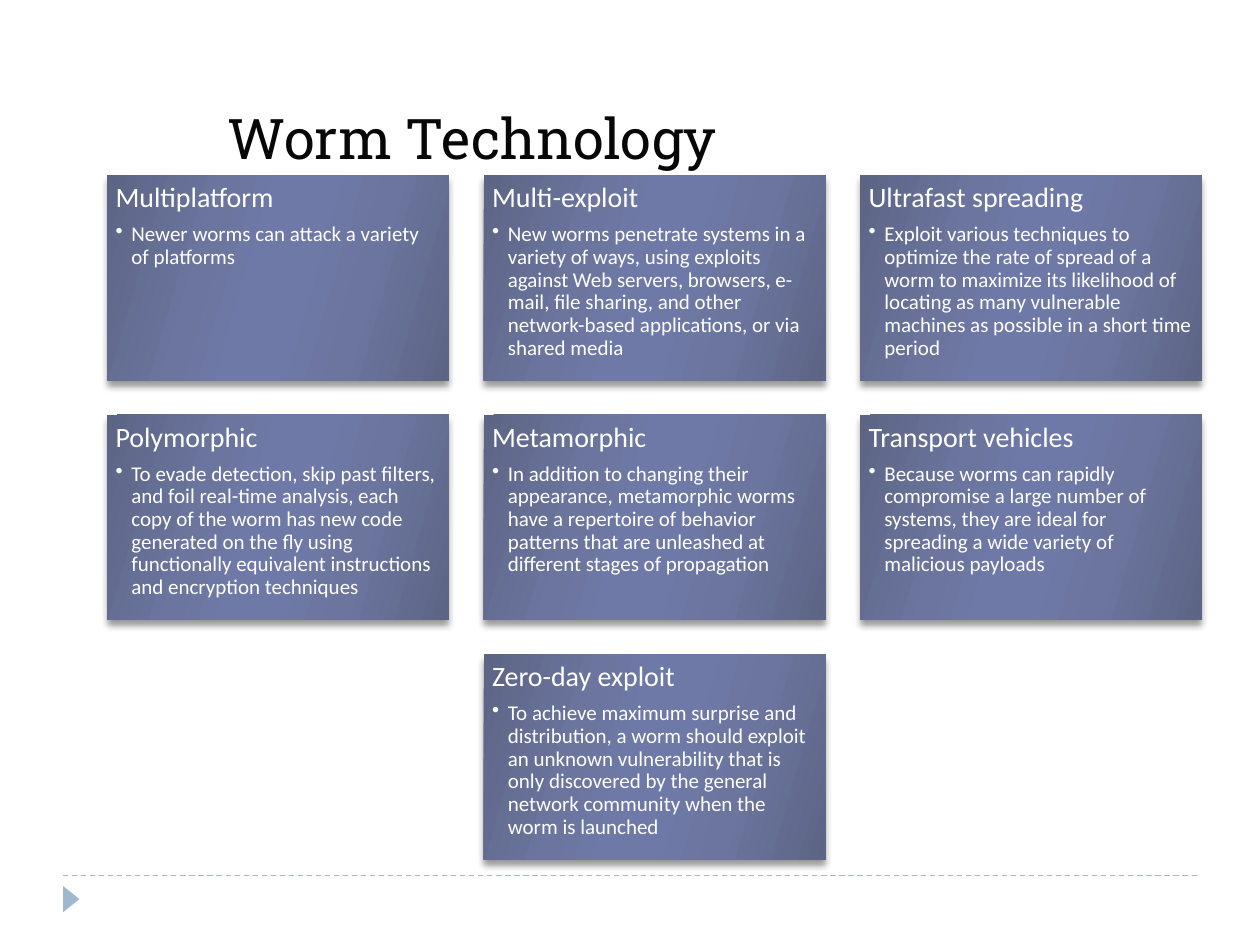
from lxml import etree
from pptx import Presentation
from pptx.dml.color import RGBColor
from pptx.enum.dml import MSO_LINE
from pptx.enum.shapes import MSO_CONNECTOR, MSO_SHAPE
from pptx.enum.text import MSO_ANCHOR, MSO_AUTO_SIZE, PP_ALIGN
from pptx.oxml import parse_xml
from pptx.oxml.ns import nsdecls, qn
from pptx.util import Cm, Pt

DASH = MSO_LINE.DASH
STRAIGHT = MSO_CONNECTOR.STRAIGHT
RECTANGLE, TRIANGLE = MSO_SHAPE.RECTANGLE, MSO_SHAPE.ISOSCELES_TRIANGLE
TOP, BOTTOM = MSO_ANCHOR.TOP, MSO_ANCHOR.BOTTOM
NO_AUTOFIT = MSO_AUTO_SIZE.NONE
LEFT = PP_ALIGN.LEFT

ACCENT = "9FB8CD"
GRADIENT = [(0, "5D6585"), (30, "6B759E"), (45, "6E79A7"),
            (55, "6E79A7"), (73, "6B759E"), (100, "5D6585")]
CARD_LEFT, CARD_TOP = 2.16, 3.53
CARD_WIDTH, CARD_HEIGHT = 6.89, 4.14
COLUMN_STEP, ROW_STEP = 7.59, 4.83

CARDS = [
    (0, 0, "Multiplatform", "Newer worms can attack a variety of platforms"),
    (0, 1, "Multi-exploit",
     "New worms penetrate systems in a variety of ways, using exploits against Web servers, "
     "browsers, e-mail, file sharing, and other network-based applications, or via shared media"),
    (0, 2, "Ultrafast spreading",
     "Exploit various techniques to optimize the rate of spread of a worm to maximize its "
     "likelihood of locating as many vulnerable machines as possible in a short time period"),
    (1, 0, "Polymorphic",
     "To evade detection, skip past filters, and foil real-time analysis, each copy of the worm "
     "has new code generated on the fly using functionally equivalent instructions and "
     "encryption techniques"),
    (1, 1, "Metamorphic",
     "In addition to changing their appearance, metamorphic worms have a repertoire of behavior "
     "patterns that are unleashed at different stages of propagation"),
    (1, 2, "Transport vehicles",
     "Because worms can rapidly compromise a large number of systems, they are ideal for "
     "spreading a wide variety of malicious payloads"),
    (2, 1, "Zero-day exploit",
     "To achieve maximum surprise and distribution, a worm should exploit an unknown "
     "vulnerability that is only discovered by the general network community when the worm "
     "is launched"),
]


def color(hex_value):
    return RGBColor.from_string(hex_value)


def add_run(paragraph, text, font_name, size, hex_value):
    run = paragraph.add_run()
    run.text = text
    run.font.name = font_name
    run.font.size = Pt(size)
    run.font.color.rgb = color(hex_value)


prs = Presentation()
prs.slide_width, prs.slide_height = Cm(25.4), Cm(19.05)
slide = prs.slides.add_slide(prs.slide_layouts[5])

title = slide.shapes.title
title.left, title.top, title.width, title.height = Cm(4.34), Cm(0), Cm(21.06), Cm(3.56)
title.text_frame.auto_size = NO_AUTOFIT
title.text_frame.vertical_anchor = BOTTOM
heading = title.text_frame.paragraphs[0]
heading.alignment = LEFT
add_run(heading, "Worm Technology", "Roboto Slab", 32, "070708")

footer_rule = slide.shapes.add_connector(STRAIGHT, Cm(1.27), Cm(17.65), Cm(24.13), Cm(17.65))
footer_rule.line.color.rgb = color(ACCENT)
footer_rule.line.width = Pt(0.75)
footer_rule.line.dash_style = DASH
etree.SubElement(footer_rule.line._get_or_add_ln().getparent(), qn("a:effectLst"))

footer_marker = slide.shapes.add_shape(TRIANGLE, Cm(1.17), Cm(17.96), Cm(0.53), Cm(0.33))
footer_marker.rotation = 90
footer_marker.shadow.inherit = False
footer_marker.fill.solid()
footer_marker.fill.fore_color.rgb = color(ACCENT)
footer_marker.line.fill.background()

stops = "".join(f'<a:gs pos="{position * 1000}"><a:srgbClr val="{hex_value}"/></a:gs>'
                for position, hex_value in GRADIENT)
gradient_xml = (f'<a:gradFill {nsdecls("a")} rotWithShape="1"><a:gsLst>{stops}</a:gsLst>'
                f'<a:lin ang="{16 * 60000}" scaled="0"/></a:gradFill>')
shadow_xml = (f'<a:outerShdw {nsdecls("a")} blurRad="{Pt(4)}" dist="{Pt(3.4)}" dir="5400000" '
              'algn="t" rotWithShape="0"><a:srgbClr val="000000"><a:alpha val="40000"/>'
              '</a:srgbClr></a:outerShdw>')

for row, column, name, description in CARDS:
    card = slide.shapes.add_shape(
        RECTANGLE, Cm(CARD_LEFT + column * COLUMN_STEP), Cm(CARD_TOP + row * ROW_STEP),
        Cm(CARD_WIDTH), Cm(CARD_HEIGHT))
    card.line.fill.background()
    card.shadow.inherit = False
    properties = card._element.spPr
    properties.find(qn("a:prstGeom")).addnext(parse_xml(gradient_xml))
    properties.find(qn("a:effectLst")).append(parse_xml(shadow_xml))

    frame = card.text_frame
    frame.word_wrap = True
    frame.vertical_anchor = TOP
    frame.margin_left = frame.margin_right = Cm(0.17)
    frame.margin_top = frame.margin_bottom = Cm(0.17)

    term, detail = frame.paragraphs[0], frame.add_paragraph()
    detail.level = 1
    for paragraph, text, size, gap in ((term, name, 16, 5.6), (detail, description, 12, 1.8)):
        paragraph.alignment = LEFT
        paragraph.line_spacing = 0.9
        paragraph.space_after = Pt(gap)
        add_run(paragraph, text, "Calibri", size, "FFFFFF")

    bullet_properties = detail._p.get_or_add_pPr()
    bullet_properties.set("marL", str(Cm(0.32)))
    bullet_properties.set("indent", str(Cm(-0.32)))
    etree.SubElement(bullet_properties, qn("a:buChar")).set("char", "•")

prs.save("out.pptx")
